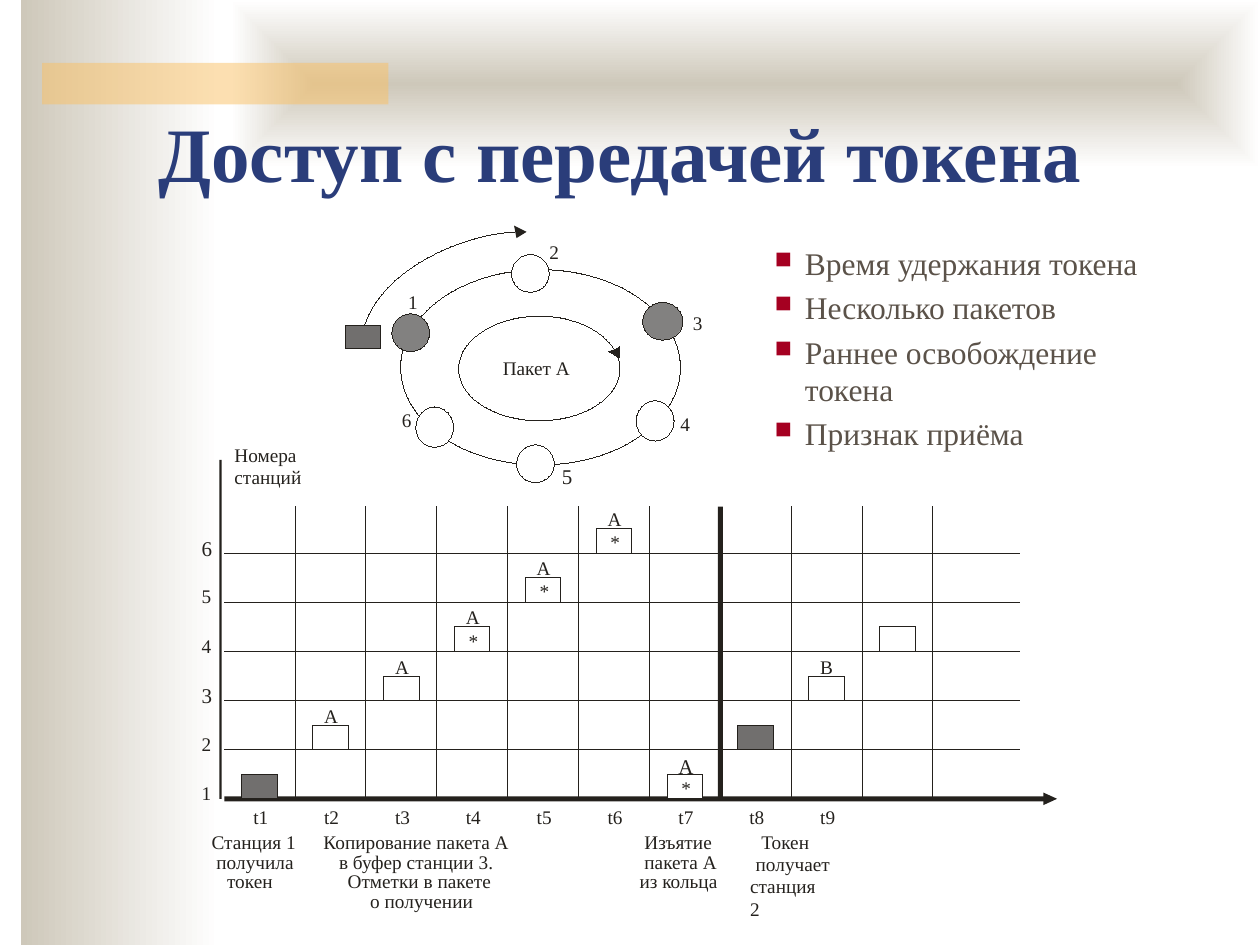
from lxml import etree
from pptx import Presentation
from pptx.dml.color import RGBColor
from pptx.enum.shapes import MSO_CONNECTOR, MSO_SHAPE
from pptx.enum.text import MSO_ANCHOR, MSO_AUTO_SIZE, PP_ALIGN
from pptx.oxml.ns import qn
from pptx.util import Inches, Pt

RECT, OVAL = MSO_SHAPE.RECTANGLE, MSO_SHAPE.OVAL
LINE = MSO_CONNECTOR.STRAIGHT
LEFT, MID = PP_ALIGN.LEFT, PP_ALIGN.CENTER
TOP = MSO_ANCHOR.TOP
GROW = MSO_AUTO_SIZE.SHAPE_TO_FIT_TEXT

INK = RGBColor(0x24, 0x21, 0x1D)
WHITE = RGBColor(0xFF, 0xFF, 0xFF)
SAND = RGBColor(0xCE, 0xC8, 0xBA)
GOLD = RGBColor(0xFA, 0xC1, 0x64)
NAVY = RGBColor(0x2A, 0x3D, 0x7A)
DARK = RGBColor(0x71, 0x6F, 0x6E)
GREY = RGBColor(0x82, 0x81, 0x80)
BROWN = RGBColor(0x5B, 0x52, 0x49)
RED = "A50021"
FONT = "Times New Roman"
HAIR = Pt(0.01)  # a width of 0 would be dropped in favour of the theme's
WIDE, HIGH = 10, 7.5


def paint(shape, fill=None, line=None):
    shape.shadow.inherit = False
    if fill is None:
        shape.fill.background()
    else:
        shape.fill.solid()
        shape.fill.fore_color.rgb = fill
    if line is None:
        shape.line.fill.background()
    else:
        shape.line.color.rgb = line
        shape.line.width = HAIR
    return shape


def form(slide, kind, box, fill=None, line=None):
    shape = slide.shapes.add_shape(kind, *map(Inches, box))
    return paint(shape, fill, line)


def path_of(slide, points, fill=None, line=None, close=True):
    spots = [(Inches(x), Inches(y)) for x, y in points]
    pen = slide.shapes.build_freeform(*spots[0])
    pen.add_line_segments(spots[1:], close=close)
    return paint(pen.convert_to_shape(), fill, line)


def rule(slide, x1, y1, x2, y2):
    line = slide.shapes.add_connector(LINE, *map(Inches, (x1, y1, x2, y2)))
    line.line.color.rgb = INK
    line.line.width = HAIR
    etree.SubElement(line._element.spPr, qn("a:effectLst"))


def write(slide, text, box, size=11, color=INK, bold=False, align=LEFT,
          wrap=False, inset=0, before=2, grow=True):
    """Add a text box with one paragraph for each line of text."""
    shape = slide.shapes.add_textbox(*map(Inches, box))
    frame = shape.text_frame
    frame.word_wrap = wrap
    frame.vertical_anchor = TOP
    if grow:
        frame.auto_size = GROW
    frame.margin_left = frame.margin_right = Inches(inset)
    frame.margin_top = frame.margin_bottom = Inches(inset / 2)
    for i, part in enumerate(text.split("\n")):
        para = frame.add_paragraph() if i else frame.paragraphs[0]
        para.alignment = align
        para.space_before = Pt(before)
        run = para.add_run()
        run.text = part
        run.font.name, run.font.size = FONT, Pt(size)
        run.font.bold, run.font.color.rgb = bold, color
    return frame


def label(slide, text, x, y, size=11):
    """Write a one-line label in a box with room to spare for its length."""
    write(slide, text, (x, y, 0.08 + 0.09 * len(text), 0.19), size, wrap=True)


def fade(shape, inward=False):
    fill = shape.fill
    fill.gradient()
    for stop, color, place in zip(fill.gradient_stops, (SAND, WHITE), (0, 1)):
        stop.color.rgb, stop.position = color, place
    fill.gradient_angle = 0
    if inward:
        grad = shape._element.spPr.find(qn("a:gradFill"))
        grad.remove(grad.find(qn("a:lin")))
        way = etree.SubElement(grad, qn("a:path"), path="shape")
        etree.SubElement(way, qn("a:fillToRect"),
                         {side: "50000" for side in "ltrb"})


def backdrop(slide, w, h):
    fade(form(slide, RECT, (w / 60, 0, w * 0.158, h), WHITE))
    fade(form(slide, RECT, (w * 0.183, 0, w * 0.817, h * 0.178), WHITE), True)
    bar = form(slide, RECT, (w / 30, h / 15, w * 0.275, h * 0.044), GOLD)
    tint = bar._element.spPr.find(".//" + qn("a:srgbClr"))
    etree.SubElement(tint, qn("a:alpha"), val="50000")


def ring(slide, x, y, w):
    """Draw the station ring on a grid 30 units wide."""
    u = w / 30

    def at(a, b):
        return x + a * u, y + b * u

    def area(a, b, c, d):
        return *at(a, b), c * u, d * u

    form(slide, OVAL, area(9, 7.2, 12.8, 8.3), None, INK)
    form(slide, OVAL, area(4.4, 3.5, 22.2, 15.5), None, INK)
    tip = [(21.8, 10.5), (20.9, 10), (21.5, 9.8), (21.8, 9.6)]
    path_of(slide, [at(*p) for p in tip], INK, INK)

    ends = (1.4, 8.4), (2.5, 3.7), (9, 0.7), (13.6, 0.5)
    arc = []
    for i in range(41):
        t = i / 40
        shares = (1 - t)**3, 3 * t * (1 - t)**2, 3 * t**2 * (1 - t), t**3
        arc.append(at(*(sum(s * p[k] for s, p in zip(shares, ends))
                        for k in (0, 1))))
    path_of(slide, arc, None, INK, False)
    path_of(slide, [at(13.4, 0), at(14.4, 0.5), at(13.6, 1)], INK)
    form(slide, RECT, area(0, 7.9, 2.8, 1.9), DARK, INK)

    nodes = [
        ("1", 3.7, 7, 3, 3, GREY, 5, 5.1), ("2", 13.2, 2.3, 3, 3, WHITE, 16.2, 1.2),
        ("3", 23.6, 6.1, 3.2, 3, GREY, 27.6, 6.8),
        ("4", 23.1, 13.9, 3, 3.2, WHITE, 26.6, 14.8),
        ("5", 13.6, 17.4, 3, 3, WHITE, 17.2, 18.9),
        ("6", 5.6, 14.4, 3, 3.2, WHITE, 4.5, 14.5),
    ]
    for name, a, b, c, d, fill, tx, ty in nodes:
        form(slide, OVAL, area(a, b, c, d), fill, INK)
        label(slide, name, *at(tx, ty), size=12 if name == "5" else 11)
    label(slide, "Пакет А", *at(12.5, 10.4))


def timing(slide, x, y, w, h):
    """Draw stations against time steps; columns run right, rows run up."""
    col, row = w / 11.22, h / 5.95
    base = y + h

    def at(c, r):
        return x + c * col, base - r * row

    form(slide, RECT, (x - 0.04, y - 0.37, 0.02, h + 0.37), INK)
    form(slide, RECT, (x, base - 0.02, w + 0.21, 0.04), INK)
    tip = x + w + 0.3
    path_of(slide, [(tip - 0.11, base - 0.05), (tip, base),
                    (tip - 0.11, base + 0.05)], INK)
    for i, word in enumerate(("Номера", "станций")):
        label(slide, word, x + 0.08, y - 0.5 + i * 0.17)
    for r in range(6):
        label(slide, str(r + 1), x - 0.18, at(0, r + 0.36)[1],
              size=12 if r in (2, 5) else 11)
    for c in range(9):
        label(slide, f"t{c + 1}", *at(c + 0.41, -0.13))

    frames = [(0, 0, "", DARK), (1, 1, "А", WHITE), (2, 2, "А", WHITE),
              (3, 3, "А*", WHITE), (4, 4, "А*", WHITE), (5, 5, "А*", WHITE),
              (6, 0, "А*", WHITE), (7, 1, "", DARK), (8, 2, "В", WHITE),
              (9, 3, "", WHITE)]
    for c, r, marks, fill in frames:
        form(slide, RECT, (*at(c + 0.25, r + 0.5), col / 2, row / 2), fill, INK)
        if marks:
            label(slide, marks[0], *at(c + 0.41, r + 0.93),
                  size=12 if c == 6 else 11)
        if "*" in marks:
            label(slide, "*", *at(c + 0.45, r + 0.46))

    for r in range(1, 6):
        rule(slide, *at(0, r), *at(11.22, r))
    for c in range(1, 11):
        if c != 7:
            rule(slide, *at(c, 5.95), *at(c, 0))
    form(slide, RECT, (at(7, 0)[0] - 0.02, y, 0.04, h), INK)

    notes = [
        (0.4, [("Станция 1", -0.18), ("получила", -0.11), ("токен", 0.04)]),
        (0.4, [("Копирование пакета А", 1.4), ("в буфер станции 3.", 1.62),
               ("Отметки в пакете", 1.74), ("о получении", 2.06)]),
        (0.4, [("Изъятие", 5.93), ("пакета А", 5.93), ("из кольца", 5.86)]),
        (0.45, [("Токен", 7.58), ("получает", 7.5)]),
    ]
    for step, lines in notes:
        for i, (text, c) in enumerate(lines):
            label(slide, text, *at(c, -0.64 - i * step))
    write(slide, "станция 2", (*at(7.42, -1.54), 0.62, 0.19), wrap=True)


def points(slide, box):
    text = ("Время удержания токена\nНесколько пакетов\n"
            "Раннее освобождение токена\nПризнак приёма")
    frame = write(slide, text, box, size=18, color=BROWN, wrap=True,
                  inset=0.1, before=3.6)
    for para in frame.paragraphs:
        props = para._p.get_or_add_pPr()
        props.set("marL", str(Inches(0.24)))
        props.set("indent", str(Inches(-0.24)))
        tint = etree.SubElement(props, qn("a:buClr"))
        etree.SubElement(tint, qn("a:srgbClr"), val=RED)
        etree.SubElement(props, qn("a:buSzPct"), val="75000")
        etree.SubElement(props, qn("a:buChar"), char="■")


def main():
    deck = Presentation()
    deck.slide_width, deck.slide_height = Inches(WIDE), Inches(HIGH)
    slide = deck.slides.add_slide(deck.slide_layouts[6])
    backdrop(slide, WIDE, HIGH)
    write(slide, "Доступ с передачей токена ", (0.75, 0.79, 8.5, 2.91),
          size=44, color=NAVY, bold=True, align=MID, wrap=True, inset=0.1,
          before=0, grow=False)
    timing(slide, 1.78, 4.02, 6.31, 2.32)
    ring(slide, 2.74, 1.79, 3)
    points(slide, (6.05, 1.89, 3.44, 1.49))
    deck.save("out.pptx")


if __name__ == "__main__":
    main()
